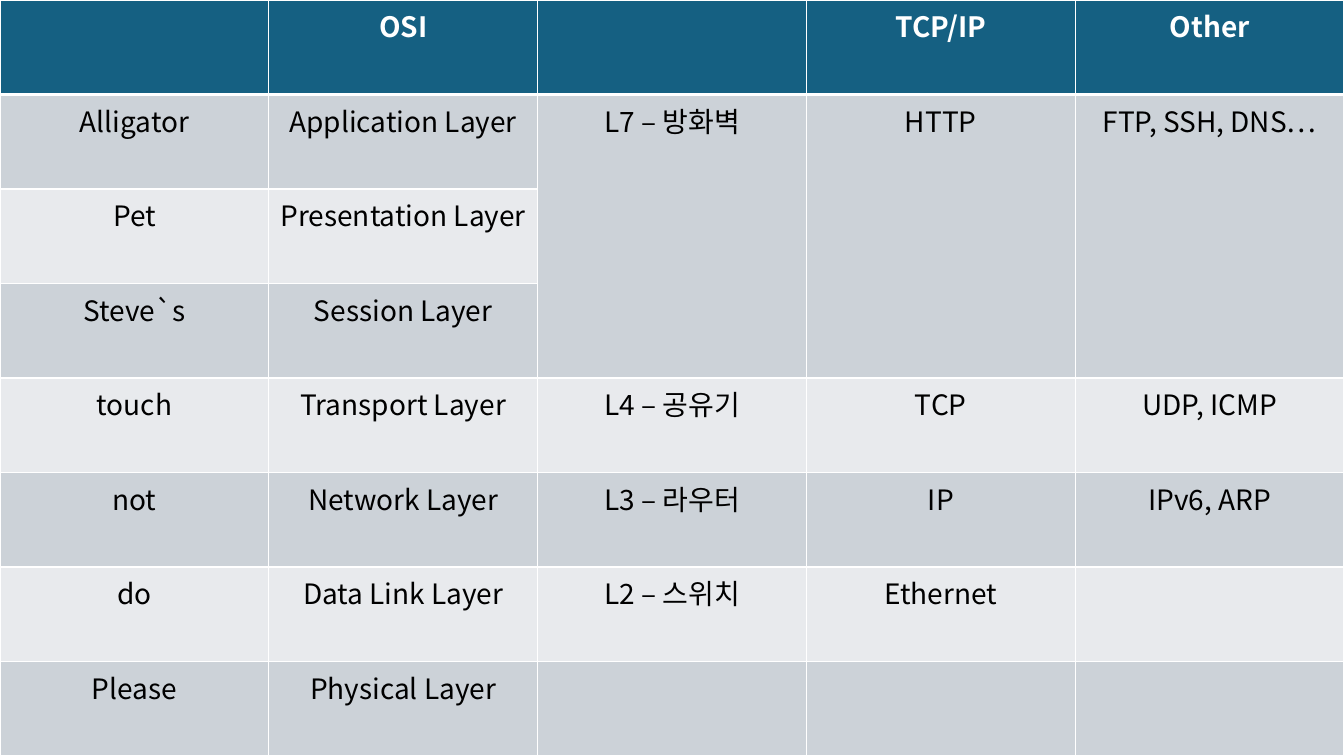
import lxml.etree
import pptx
import pptx.dml.color
import pptx.enum.text
import pptx.oxml.ns
import pptx.util

FONT = "Noto Sans CJK KR"
WIDTH, HEIGHT = pptx.util.Cm(33.87), pptx.util.Cm(19.05)
HEADER_FILL, BAND_FILLS = "156082", ("CCD2D8", "E8EAED")
ROWS = [
    ["", "OSI", "", "TCP/IP", "Other"],
    ["Alligator", "Application Layer", "L7 – 방화벽", "HTTP", "FTP, SSH, DNS…"],
    ["Pet", "Presentation Layer", "", "", ""],
    ["Steve`s", "Session Layer", "", "", ""],
    ["touch", "Transport Layer", "L4 – 공유기", "TCP", "UDP, ICMP"],
    ["not", "Network Layer", "L3 – 라우터", "IP", "IPv6, ARP"],
    ["do", "Data Link Layer", "L2 – 스위치", "Ethernet", ""],
    ["Please", "Physical Layer", "", "", ""],
]


def rgb(value):
    """Turn a hex string into a colour."""
    return pptx.dml.color.RGBColor.from_string(value)


def add_element(parent, tag, **attributes):
    """Append a DrawingML element to its parent."""
    return lxml.etree.SubElement(parent, pptx.oxml.ns.qn(tag), attributes)


def set_borders(cell, top, bottom):
    """Draw white cell borders with the given top and bottom widths in points."""
    tcPr = cell._tc.get_or_add_tcPr()
    for side, width in (("L", 1), ("R", 1), ("T", top), ("B", bottom)):
        ln = add_element(tcPr, f"a:ln{side}", w=str(pptx.util.Pt(width)))
        add_element(add_element(ln, "a:solidFill"), "a:srgbClr", val="FFFFFF")


def set_fill(cell, color):
    """Fill a cell with one colour."""
    cell.fill.solid()
    cell.fill.fore_color.rgb = rgb(color)


def set_text(cell, text, color, bold):
    """Write centred text into a cell."""
    p = cell.text_frame.paragraphs[0]
    p.text = text
    p.alignment = pptx.enum.text.PP_ALIGN.CENTER
    for r in p.runs:
        r.font.size = pptx.util.Pt(20)
        r.font.bold = bold
        r.font.color.rgb = rgb(color)
        r.font.name = FONT
        add_element(r.font._element, "a:ea", typeface=FONT)


def add_layer_table(s):
    """Fill the slide with the table of network layers."""
    n_rows, n_cols = len(ROWS), len(ROWS[0])
    table = s.shapes.add_table(n_rows, n_cols, 0, 0, WIDTH, HEIGHT).table
    for i, row in enumerate(ROWS):
        header = i == 0
        for j, text in enumerate(row):
            cell = table.cell(i, j)
            set_borders(cell, 3 if i == 1 else 1, 3 if header else 1)
            set_fill(cell, HEADER_FILL if header else BAND_FILLS[(i - 1) % 2])
            if text:
                set_text(cell, text, "FFFFFF" if header else "000000", header)
    for j in range(2, n_cols):
        table.cell(1, j).merge(table.cell(3, j))


def main():
    """Build and save the presentation."""
    prs = pptx.Presentation()
    prs.slide_width, prs.slide_height = WIDTH, HEIGHT
    s = prs.slides.add_slide(prs.slide_layouts[6])
    add_layer_table(s)
    prs.save("out.pptx")


if __name__ == "__main__":
    main()
